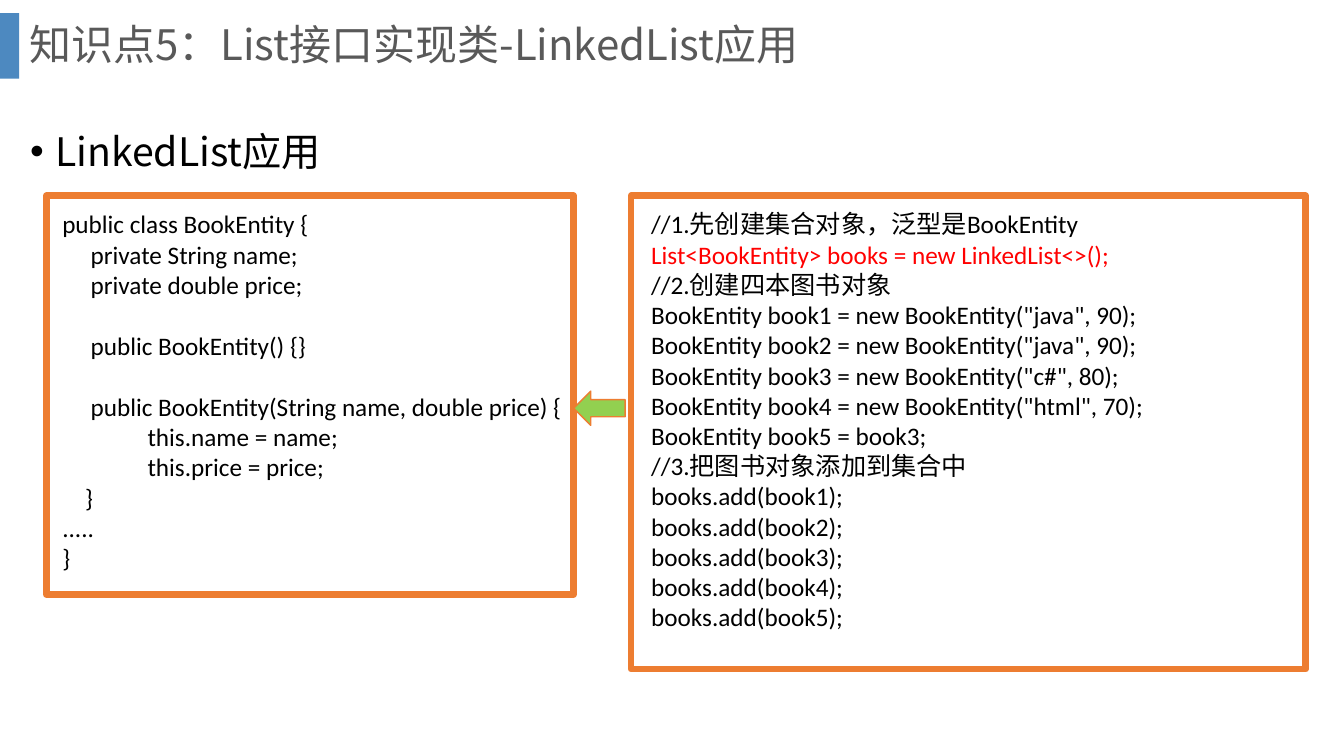
from dataclasses import dataclass

from lxml import etree
from pptx import Presentation
from pptx import util as u
from pptx.dml.color import RGBColor
from pptx.enum import shapes, text
from pptx.oxml.ns import qn


@dataclass(frozen=True)
class Theme:
    heading_font: str = "Noto Sans CJK SC"
    code_font: str = "Calibri"
    title_size: int = 30
    topic_size: int = 28
    code_size: int = 18
    code_line: int = 22     # height of one code line, points
    code_indent: float = 20.3  # one level of code indent, points
    frame_line: float = 4.5
    black: str = "000000"
    grey: str = "595959"
    red: str = "FF0000"
    blue: str = "2E75B6"
    orange: str = "ED7D31"
    green: str = "92D050"


THEME = Theme()
WIDTH, HEIGHT = u.Inches(13.33), u.Inches(7.5)
COLUMN, ROW = WIDTH / 100, HEIGHT / 100


@dataclass(frozen=True)
class Box:
    """A region in columns and rows of a 100 by 100 grid."""
    x: float
    y: float
    w: float
    h: float

    def inset(self, dx, dy, w, h):
        return Box(self.x + dx, self.y + dy, w, h)

    def emu(self):
        return (round(self.x * COLUMN), round(self.y * ROW),
                round(self.w * COLUMN), round(self.h * ROW))


# Code lines: (indent levels, blank lines above, colour, text)
ENTITY_CODE = [
    (0, 0, THEME.black, "public class BookEntity {"),
    (1, 0, THEME.black, "private String name;"),
    (1, 0, THEME.black, "private double price;"),
    (1, 1, THEME.black, "public BookEntity() {}"),
    (1, 1, THEME.black, "public BookEntity(String name, double price) {"),
    (3, 0, THEME.black, "this.name = name;"),
    (3, 0, THEME.black, "this.price = price;"),
    (0.8, 0, THEME.black, "}"),
    (0, 0, THEME.black, "....."),
    (0, 0, THEME.black, "}"),
]
USAGE_CODE = [
    (0, 0, THEME.red if line.startswith("List") else THEME.black, line)
    for line in [
        "//1.先创建集合对象，泛型是BookEntity",
        "List<BookEntity> books = new LinkedList<>();",
        "//2.创建四本图书对象",
        'BookEntity book1 = new BookEntity("java", 90);',
        'BookEntity book2 = new BookEntity("java", 90);',
        'BookEntity book3 = new BookEntity("c#", 80);',
        'BookEntity book4 = new BookEntity("html", 70);',
        "BookEntity book5 = book3;",
        "//3.把图书对象添加到集合中",
        *[f"books.add(book{number});" for number in range(1, 6)],
    ]
]


def add_block(slide, box, shape_type, fill=None, line=None, line_width=1):
    block = slide.shapes.add_shape(shape_type, *box.emu())
    block.shadow.inherit = False
    if fill:
        block.fill.solid()
        block.fill.fore_color.rgb = RGBColor.from_string(fill)
    else:
        block.fill.background()
    if line:
        block.line.color.rgb = RGBColor.from_string(line)
        block.line.width = u.Pt(line_width)
    else:
        block.line.fill.background()
    return block


def add_text_frame(slide, box, wrap=True):
    frame = slide.shapes.add_textbox(*box.emu()).text_frame
    frame.word_wrap = wrap
    return frame


def write(paragraph, words, font, size, colour):
    paragraph.text = words
    for run in paragraph.runs:
        run.font.name = font
        run.font.size = u.Pt(size)
        run.font.color.rgb = RGBColor.from_string(colour)
        east_asian = etree.SubElement(run.font._element, qn("a:ea"))
        east_asian.set("typeface", THEME.heading_font)


def add_header(slide, box):
    # Translucent accent bar at the left edge
    accent = add_block(slide, Box(box.x, box.y + 1.73, 1.43, 8.67),
                       shapes.MSO_SHAPE.RECTANGLE, THEME.blue)
    colour = accent.fill._xPr.find(qn("a:solidFill"))[0]
    etree.SubElement(colour, qn("a:alpha")).set("val", "85000")

    # Title
    title = add_text_frame(slide, box.inset(1.43, 0, box.w - 5, box.h))
    title.vertical_anchor = text.MSO_ANCHOR.MIDDLE
    heading = title.paragraphs[0]
    heading.line_spacing = 0.9
    write(heading, "知识点5：List接口实现类-LinkedList应用",
          THEME.heading_font, THEME.title_size, THEME.grey)


def add_topic(slide, box):
    topic = add_text_frame(slide, box).paragraphs[0]
    topic.line_spacing = 1.5
    topic.space_before = u.Pt(10)
    write(topic, "LinkedList应用", THEME.heading_font, THEME.topic_size, THEME.black)
    properties = topic._p.get_or_add_pPr()
    properties.set("marL", str(u.Inches(0.25)))
    properties.set("indent", str(-u.Inches(0.25)))
    etree.SubElement(properties, qn("a:buFont")).set("typeface", "Arial")
    etree.SubElement(properties, qn("a:buChar")).set("char", "•")


def add_code_panel(slide, box, lines, margin, wrap):
    add_block(slide, box, shapes.MSO_SHAPE.RECTANGLE,
              line=THEME.orange, line_width=THEME.frame_line)
    code = add_text_frame(
        slide, box.inset(margin, 1.07, box.w - margin, box.h - 3), wrap)
    for number, (level, gap, colour, words) in enumerate(lines):
        line = code.add_paragraph() if number else code.paragraphs[0]
        write(line, words, THEME.code_font, THEME.code_size, colour)
        line.space_before = u.Pt(gap * THEME.code_line)
        properties = line._p.get_or_add_pPr()
        properties.set("marL", str(u.Pt(level * THEME.code_indent)))
        properties.set("indent", "0")


def main():
    deck = Presentation()
    deck.slide_width, deck.slide_height = WIDTH, HEIGHT
    slide = deck.slides.add_slide(deck.slide_layouts[6])

    add_header(slide, Box(0, 0, 100, 12.4))
    add_topic(slide, Box(1.5, 13.07, 96.77, 11.5))

    # Usage on the right, pointing to the entity class on the left
    usage = Box(46.96, 25.87, 50.19, 62.67)
    entity = Box(3.45, usage.y, 39.23, 52.8)
    add_code_panel(slide, usage, USAGE_CODE, margin=0.75, wrap=False)
    add_code_panel(slide, entity, ENTITY_CODE, margin=0.45, wrap=True)
    add_block(slide, Box(entity.x + entity.w, 51.73, 3.83, 4.53),
              shapes.MSO_SHAPE.LEFT_ARROW, THEME.green, THEME.orange)

    deck.save("out.pptx")


if __name__ == "__main__":
    main()
